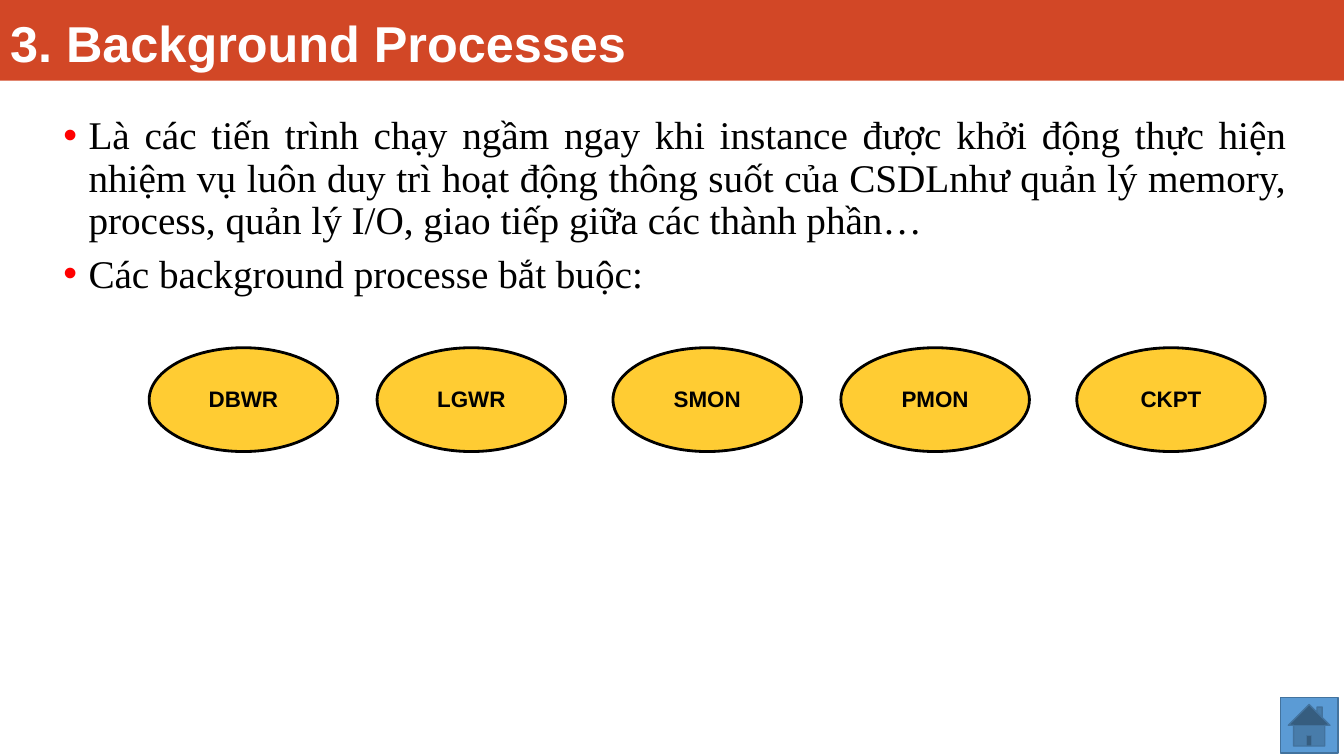
from dataclasses import dataclass

from lxml import etree
from pptx import Presentation
from pptx.dml.color import RGBColor
from pptx.enum.shapes import MSO_SHAPE
from pptx.enum.text import MSO_ANCHOR, PP_ALIGN
from pptx.oxml.ns import qn
from pptx.util import Inches, Pt

RECT, OVAL = MSO_SHAPE.RECTANGLE, MSO_SHAPE.OVAL
HOME = MSO_SHAPE.ACTION_BUTTON_HOME
LEFT, CENTER, JUSTIFY = PP_ALIGN.LEFT, PP_ALIGN.CENTER, PP_ALIGN.JUSTIFY
MIDDLE, BOTTOM = MSO_ANCHOR.MIDDLE, MSO_ANCHOR.BOTTOM
WIDTH, HEIGHT = 13.33, 7.5
TITLE_ONLY = 5


@dataclass(frozen=True)
class Theme:
    band: str = "D24726"
    button: str = "5B9BD5"
    edge: str = "43739E"
    oval: str = "FFCC33"
    bullet: str = "FF0000"
    dark: str = "000000"
    light: str = "FFFFFF"
    head_font: str = "Arial"
    body_font: str = "Times New Roman"
    head_size: int = 36
    body_size: int = 28
    label_size: int = 16


THEME = Theme()

TITLE = "3. Background Processes"
POINTS = [
    "Là các tiến trình chạy ngầm ngay khi instance được khởi động thực hiện "
    "nhiệm vụ luôn duy trì hoạt động thông suốt của CSDLnhư quản lý memory, "
    "process, quản lý I/O, giao tiếp giữa các thành phần…",
    "Các background processe bắt buộc:",
]
LABELS = ["DBWR", "LGWR", "SMON", "PMON", "CKPT"]

# Ovals stand in pairs: one step between pairs, one inside a pair
OVAL_LEFT, OVAL_TOP = 1.48, 3.45
OVAL_WIDTH, OVAL_HEIGHT = 1.87, 1.03
PAIR_STEP, INNER_STEP = 4.6, 2.26


def style(para, font, size, color, bold=False):
    for run in para.runs:
        run.font.name = font
        run.font.size = Pt(size)
        run.font.bold = bold
        run.font.color.rgb = RGBColor.from_string(color)


def add_box(slide, kind, box, fill, line=None, weight=1):
    shape = slide.shapes.add_shape(kind, *map(Inches, box))
    shape.shadow.inherit = False
    shape.fill.solid()
    shape.fill.fore_color.rgb = RGBColor.from_string(fill)
    if line:
        shape.line.color.rgb = RGBColor.from_string(line)
        shape.line.width = Pt(weight)
    else:
        shape.line.fill.background()
    return shape


def set_title(slide):
    title = slide.shapes.title
    title.left, title.top = Inches(0), Inches(-0.19)
    title.width, title.height = Inches(0.6 * WIDTH), Inches(0.96)
    frame = title.text_frame
    frame.text = TITLE
    frame.vertical_anchor = BOTTOM
    para = frame.paragraphs[0]
    para.alignment = LEFT
    style(para, THEME.head_font, THEME.head_size, THEME.light, True)


def add_bullet(para):
    props = para._p.get_or_add_pPr()
    indent = Inches(0.25)
    props.set("marL", str(indent))
    props.set("indent", str(-indent))
    color = etree.SubElement(props, qn("a:buClr"))
    etree.SubElement(color, qn("a:srgbClr"), val=THEME.bullet)
    etree.SubElement(props, qn("a:buFont"), typeface="Arial")
    etree.SubElement(props, qn("a:buChar"), char="•")


def add_points(slide):
    box = slide.shapes.add_textbox(*map(Inches, (0.53, 1.1, 12.33, 2)))
    frame = box.text_frame
    frame.word_wrap = True
    frame.text = "\n".join(POINTS)
    for para in frame.paragraphs:
        para.alignment = JUSTIFY
        para.line_spacing = 0.9
        para.space_before = Pt(0.3 * THEME.body_size)
        add_bullet(para)
        style(para, THEME.body_font, THEME.body_size, THEME.dark)


def add_oval(slide, index, label):
    pair, side = divmod(index, 2)
    left = OVAL_LEFT + pair * PAIR_STEP + side * INNER_STEP
    box = (left, OVAL_TOP, OVAL_WIDTH, OVAL_HEIGHT)
    frame = add_box(slide, OVAL, box, THEME.oval, THEME.dark, 2).text_frame
    frame.text = label
    frame.word_wrap = False
    frame.vertical_anchor = MIDDLE
    frame.margin_left = frame.margin_right = Inches(0.05)
    frame.margin_top = frame.margin_bottom = Inches(0.05)
    para = frame.paragraphs[0]
    para.alignment = CENTER
    para.line_spacing = 0.95
    style(para, THEME.head_font, THEME.label_size, THEME.dark, True)


def main():
    deck = Presentation()
    deck.slide_width, deck.slide_height = Inches(WIDTH), Inches(HEIGHT)
    slide = deck.slides.add_slide(deck.slide_layouts[TITLE_ONLY])

    # Title band, with the title kept in front of it
    add_box(slide, RECT, (0, 0, WIDTH, 0.8), THEME.band)
    slide.shapes._spTree.append(slide.shapes.title._element)
    set_title(slide)

    # Home button
    add_box(slide, HOME, (12.7, 6.92, 0.57, 0.55), THEME.button, THEME.edge)

    # Body text and process ovals
    add_points(slide)
    for index, label in enumerate(LABELS):
        add_oval(slide, index, label)

    deck.save("out.pptx")


if __name__ == "__main__":
    main()
